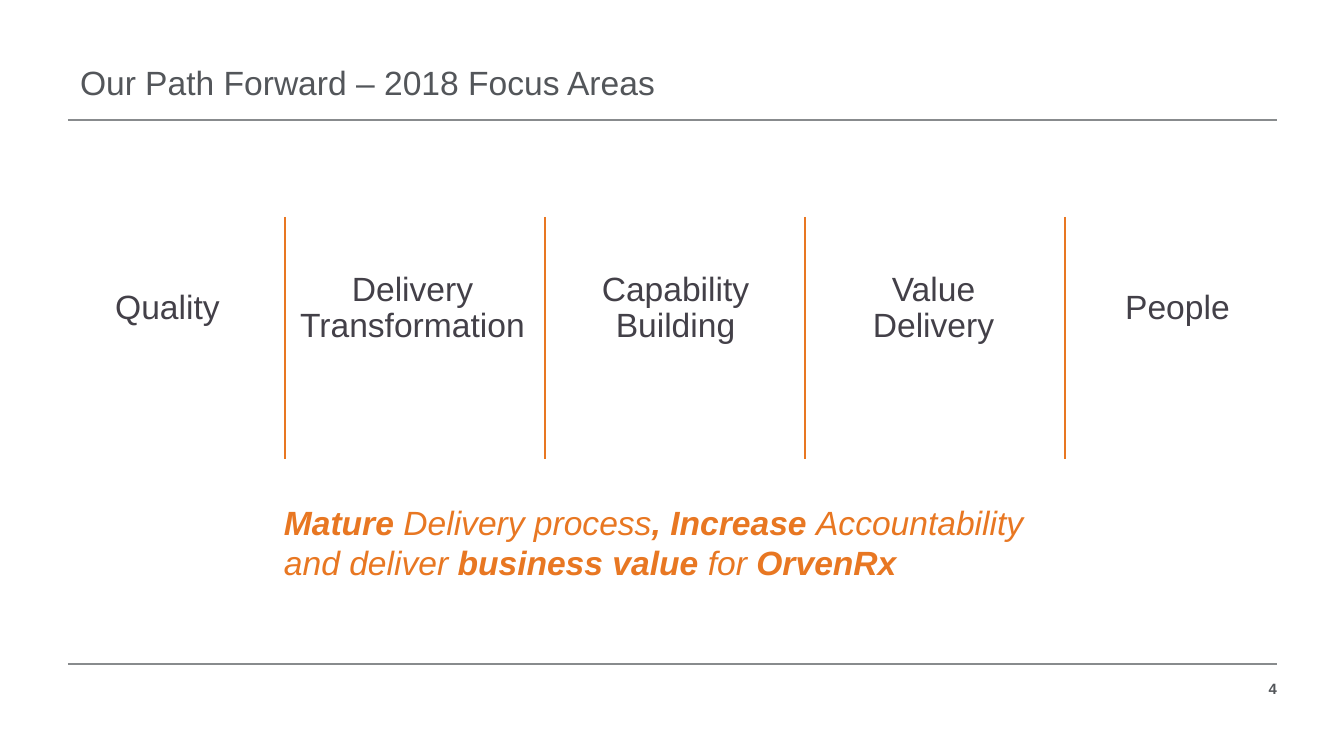
from lxml import etree
from pptx import Presentation
from pptx.dml.color import RGBColor
from pptx.enum.shapes import MSO_CONNECTOR
from pptx.enum.text import MSO_ANCHOR, PP_ALIGN
from pptx.oxml.ns import qn
from pptx.util import Pt

STRAIGHT = MSO_CONNECTOR.STRAIGHT
TOP, MIDDLE, BOTTOM = MSO_ANCHOR.TOP, MSO_ANCHOR.MIDDLE, MSO_ANCHOR.BOTTOM
LEFT, CENTER, RIGHT = PP_ALIGN.LEFT, PP_ALIGN.CENTER, PP_ALIGN.RIGHT

SCALE = 914400 / 134.4
FONT = "Arial"
GRAY, DARK, RULE, ORANGE = "53565A", "434048", "888B8D", "E87722"

TITLE = "Our Path Forward – 2018 Focus Areas"
PAGE_NUMBER = "4"
FOCUS_AREAS = [
    ("Quality", 60, 222, 1),
    ("Delivery Transformation", 300, 232, 2),
    ("Capability Building", 583, 192, 2),
    ("Value Delivery", 833, 208, 2),
    ("People", 1074, 214, 1),
]
MISSION = [
    [("Mature ", True), ("Delivery process", False),
     (", Increase ", True), ("Accountability ", False)],
    [("and deliver", False), (" business value ", True),
     ("for", False), (" OrvenRx", True)],
]
RULE_TOPS = (120, 664)
RULE_LEFT, RULE_RIGHT = 68, 1277
DIVIDER_LEFT, DIVIDER_STEP = 285, 260
DIVIDER_TOP, DIVIDER_BOTTOM = 217, 459
AREA_MIDDLE = 309
AREA_HEIGHTS = {1: 44, 2: 82}


def px(value):
    return round(value * SCALE)


def color(value):
    return RGBColor.from_string(value)


def place(shape, box, insets, anchor, wrap=True):
    shape.left, shape.top, shape.width, shape.height = map(px, box)
    frame = shape.text_frame
    frame.margin_left, frame.margin_top, frame.margin_right, frame.margin_bottom = map(px, insets)
    frame.vertical_anchor = anchor
    frame.word_wrap = wrap
    return frame


def add_text_box(box, insets, anchor, wrap=True):
    return place(slide.shapes.add_textbox(0, 0, 0, 0), box, insets, anchor, wrap)


def format_run(run, value, size=18, bold=False, italic=False):
    run.font.name = FONT
    run.font.size = Pt(size)
    run.font.bold = bold
    run.font.italic = italic
    run.font.color.rgb = color(value)


def write(frame, text, value, align, size=18, bold=False):
    frame.text = text
    paragraph = frame.paragraphs[0]
    paragraph.alignment = align
    format_run(paragraph.runs[0], value, size, bold)
    return paragraph


def add_line(x1, y1, x2, y2, value, width):
    line = slide.shapes.add_connector(STRAIGHT, px(x1), px(y1), px(x2), px(y2))
    line.line.color.rgb = color(value)
    line.line.width = Pt(width)
    etree.SubElement(line._element.spPr, qn("a:effectLst"))


presentation = Presentation()
presentation.slide_width, presentation.slide_height = px(1344), px(756)
slide = presentation.slides.add_slide(presentation.slide_layouts[5])

title_frame = place(slide.shapes.title, (67, 62, 1210, 48), (13, 7, 13, 7), BOTTOM)
write(title_frame, TITLE, GRAY, LEFT).line_spacing = 0.9

for top in RULE_TOPS:
    add_line(RULE_LEFT, top, RULE_RIGHT, top, RULE, 1)

for index in range(len(FOCUS_AREAS) - 1):
    x = DIVIDER_LEFT + index * DIVIDER_STEP
    add_line(x, DIVIDER_TOP, x, DIVIDER_BOTTOM, ORANGE, 1.5)

for name, left, width, line_count in FOCUS_AREAS:
    height = AREA_HEIGHTS[line_count]
    frame = add_text_box((left, AREA_MIDDLE - height / 2, width, height), (0, 3, 7, 3), MIDDLE)
    paragraph = write(frame, name, DARK, CENTER)
    paragraph.line_spacing = 0.9
    paragraph.space_before = Pt(1.5)

mission_frame = add_text_box((284, 502, 790, 93), (0, 0, 0, 0), TOP, False)
mission_frame.text = "\n".join("" for _ in MISSION)
for paragraph, parts in zip(mission_frame.paragraphs, MISSION):
    paragraph.alignment = LEFT
    for text, bold in parts:
        run = paragraph.add_run()
        run.text = text
        format_run(run, ORANGE, bold=bold, italic=True)

number_frame = add_text_box((1210, 677, 67, 23), (0, 0, 0, 0), MIDDLE, False)
write(number_frame, PAGE_NUMBER, GRAY, RIGHT, size=8, bold=True)

presentation.save("out.pptx")
